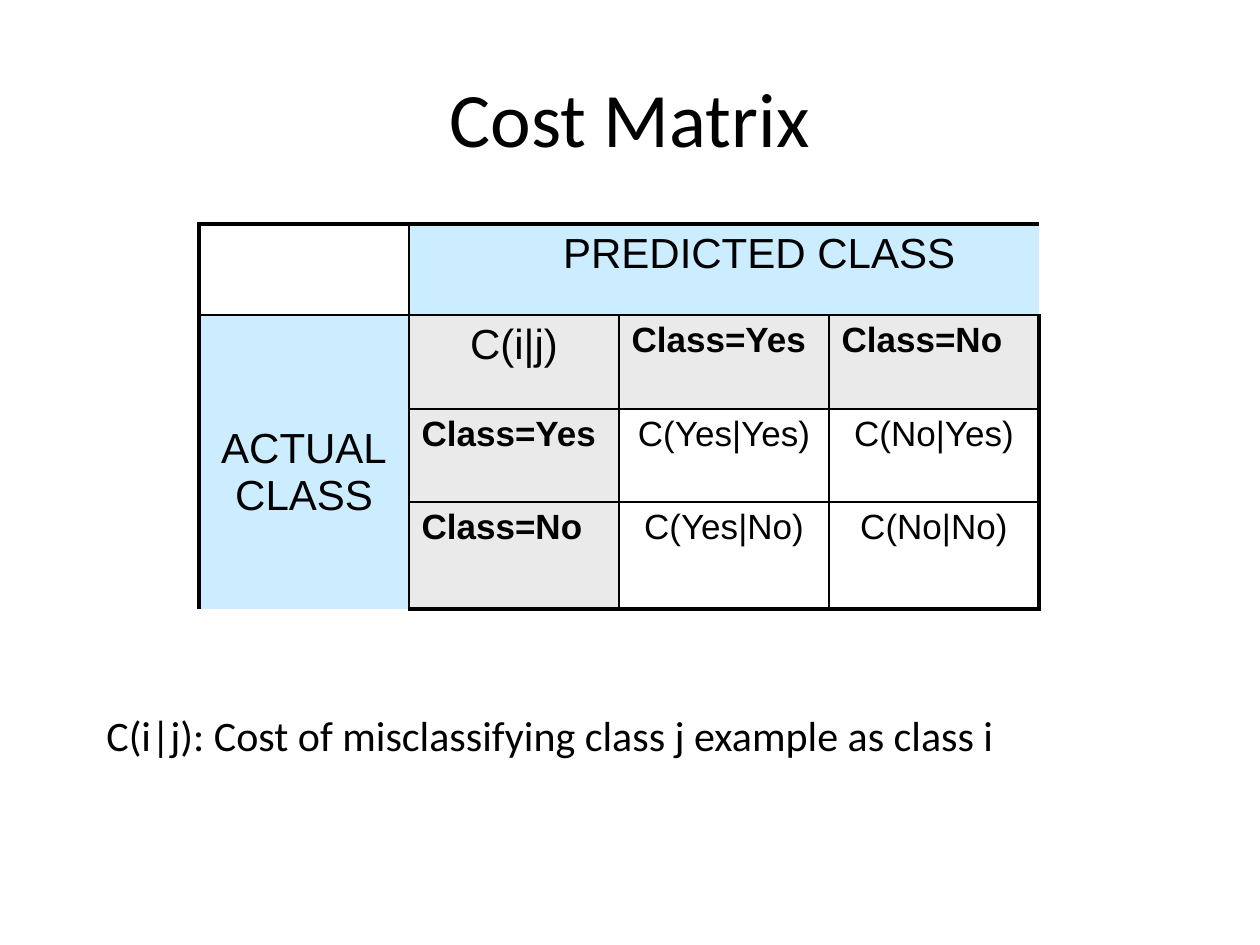
from lxml.etree import SubElement
from pptx import Presentation
from pptx.dml.color import RGBColor
from pptx.enum.text import MSO_ANCHOR, PP_ALIGN
from pptx.oxml.ns import qn
from pptx.util import Emu, Pt

BLACK = RGBColor(0x00, 0x00, 0x00)
WHITE = RGBColor(0xFF, 0xFF, 0xFF)
BLUE = RGBColor(0xCC, 0xEC, 0xFF)
GRAY = RGBColor(0xEA, 0xEA, 0xEA)

ROW_HEIGHTS = (91, 94, 93, 107)
COL_WIDTH = 210
HEADINGS = ("Class=Yes", "Class=No")
COSTS = (("C(Yes|Yes)", "C(No|Yes)"), ("C(Yes|No)", "C(No|No)"))


def px(n):
    return Emu(round(n * 914400 / 126))


def add_text(tf, text, size, font, align=PP_ALIGN.LEFT, bold=False):
    p = tf.paragraphs[0]
    p.alignment = align
    for i, line in enumerate(text.split("\n")):
        if i:
            p.add_line_break()
        r = p.add_run()
        r.text = line
        r.font.size = Pt(size)
        r.font.name = font
        r.font.bold = bold
        r.font.color.rgb = BLACK


def add_label(slide, box, text, size, align, anchor):
    tf = slide.shapes.add_textbox(*map(px, box)).text_frame
    tf.word_wrap = True
    tf.vertical_anchor = anchor
    add_text(tf, text, size, "Calibri", align)


def region(row, col):
    """Name the merged area, or the single cell, at a grid position."""
    if row == 0 and col > 0:
        return "predicted"
    if col == 0 and row > 0:
        return "actual"
    return row, col


def set_borders(cell, row, col):
    """Thick on the outer frame, thin between regions, none inside one."""
    tc_pr = cell._tc.get_or_add_tcPr()
    for side, dr, dc in (("L", 0, -1), ("R", 0, 1), ("T", -1, 0), ("B", 1, 0)):
        r, c = row + dr, col + dc
        inside = 0 <= r < 4 and 0 <= c < 4
        ln = SubElement(tc_pr, qn(f"a:ln{side}"), w=str(Pt(1 if inside else 2.25)))
        if inside and region(r, c) == region(row, col):
            SubElement(ln, qn("a:noFill"))
        else:
            fill = SubElement(ln, qn("a:solidFill"))
            SubElement(fill, qn("a:srgbClr"), val=str(BLACK))


def add_matrix(slide, left, top):
    shape = slide.shapes.add_table(4, 4, px(left), px(top),
                                   px(4 * COL_WIDTH), px(sum(ROW_HEIGHTS)))
    table = shape.table
    table.first_row = table.horz_banding = False
    for column in table.columns:
        column.width = px(COL_WIDTH)
    for row, height in zip(table.rows, ROW_HEIGHTS):
        row.height = px(height)

    for r in range(4):
        for c in range(4):
            cell = table.cell(r, c)
            set_borders(cell, r, c)
            cell.fill.solid()
            if isinstance(region(r, c), str):
                cell.fill.fore_color.rgb = BLUE
            elif (r == 1 or c == 1) and r > 0:
                cell.fill.fore_color.rgb = GRAY
            else:
                cell.fill.fore_color.rgb = WHITE

    predicted, actual = table.cell(0, 1), table.cell(1, 0)
    predicted.merge(table.cell(0, 3))
    predicted.margin_left = px(83)
    actual.merge(table.cell(3, 0))
    actual.vertical_anchor = MSO_ANCHOR.MIDDLE
    actual.margin_top = px(28)
    for cell, text in ((predicted, "PREDICTED CLASS"), (actual, "ACTUAL\nCLASS"),
                       (table.cell(1, 1), "C(i|j)")):
        add_text(cell.text_frame, text, 24, "Arial", PP_ALIGN.CENTER)

    for i, heading in enumerate(HEADINGS, start=2):
        for cell in (table.cell(1, i), table.cell(i, 1)):
            add_text(cell.text_frame, heading, 20, "Arial", bold=True)
    for r, costs in enumerate(COSTS, start=2):
        for c, cost in enumerate(costs, start=2):
            add_text(table.cell(r, c).text_frame, cost, 20, "Arial", PP_ALIGN.CENTER)


def main():
    prs = Presentation()
    prs.slide_width, prs.slide_height = px(1260), px(945)
    slide = prs.slides.add_slide(prs.slide_layouts[6])
    add_label(slide, (63, 38, 1134, 158), "Cost Matrix", 44,
              PP_ALIGN.CENTER, MSO_ANCHOR.MIDDLE)
    add_matrix(slide, 199, 224)
    add_label(slide, (94, 703, 1081, 126),
              "C(i|j): Cost of misclassifying class j example as class i", 24,
              PP_ALIGN.LEFT, MSO_ANCHOR.TOP)
    prs.save("out.pptx")


if __name__ == "__main__":
    main()
